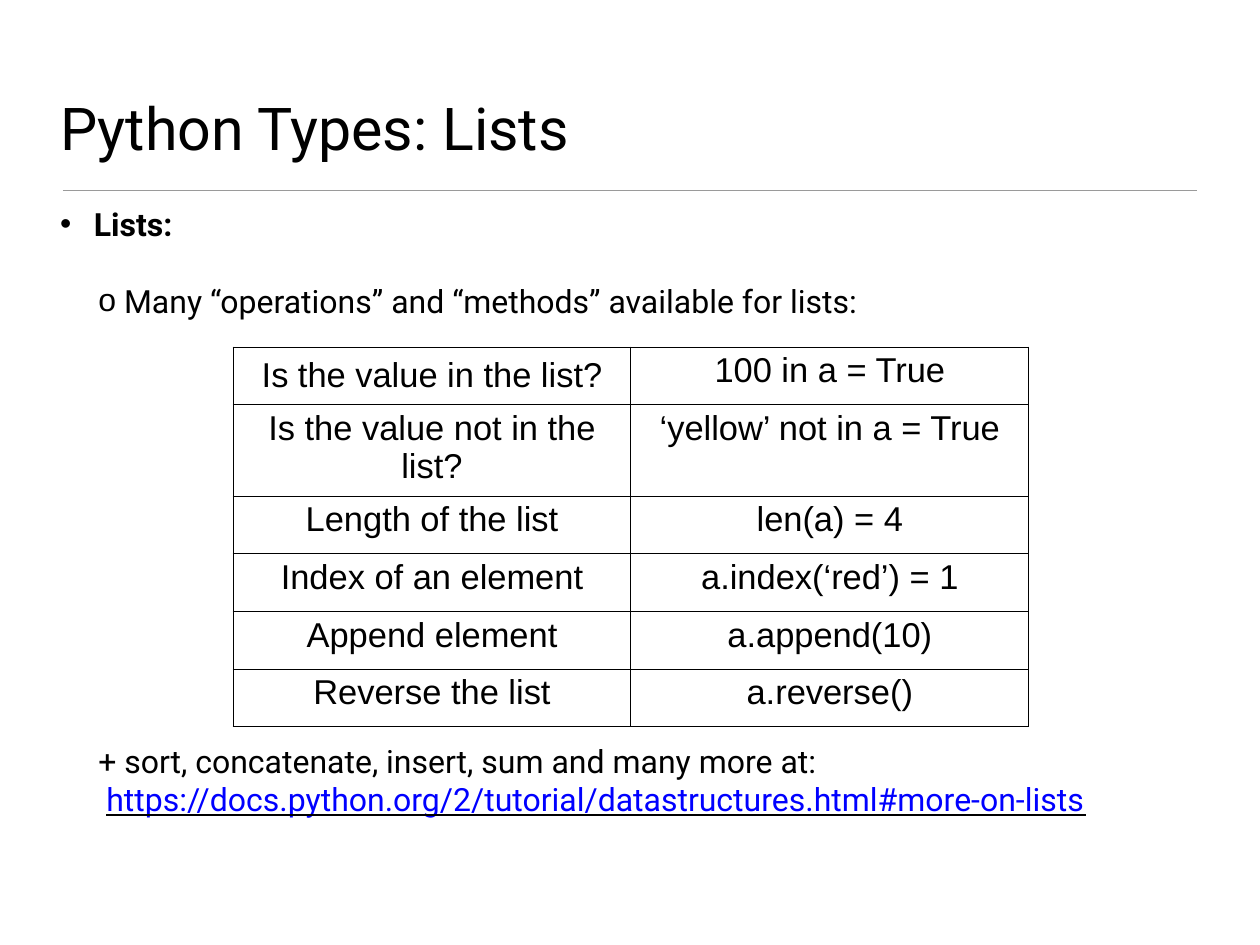
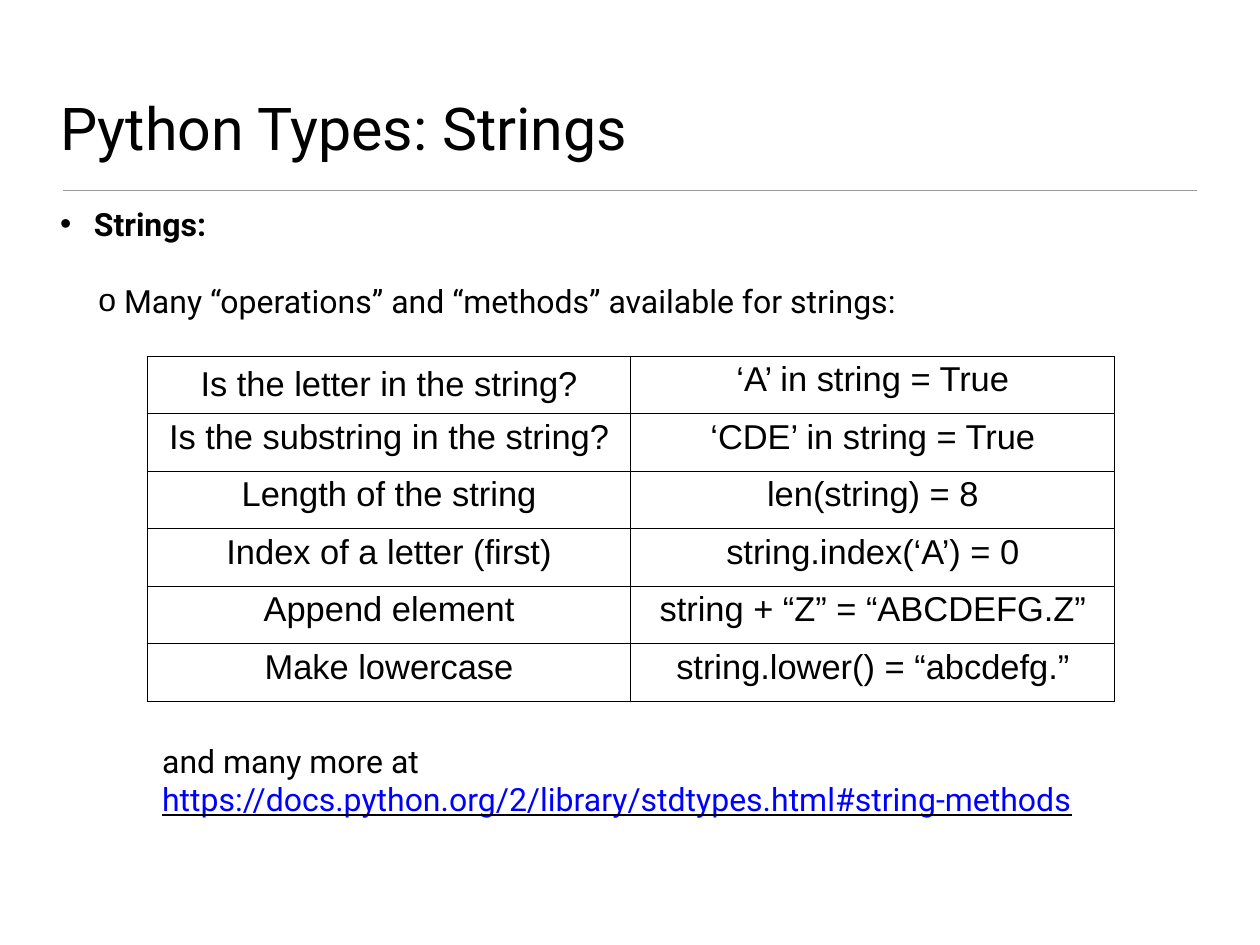
from dataclasses import dataclass

from lxml import etree
from pptx import Presentation, util as u
from pptx.dml.color import RGBColor
from pptx.enum import shapes, text
from pptx.oxml import ns

PX = 9144
BLACK = RGBColor(0x00, 0x00, 0x00)
LINK_BLUE = RGBColor(0x00, 0x00, 0xFF)
RULE_GRAY = RGBColor(0x9A, 0x9A, 0x9A)
TEXT_FONT = "Roboto"
TABLE_FONT = "Arial"
TITLE_SIZE, BODY_SIZE, TABLE_SIZE = 48, 26, 28
BLANK_LAYOUT = 6
LEFT, WIDTH, INSET = 62, 1297, 6
ROW_HEIGHT = 65


@dataclass(frozen=True)
class Topic:
    name: str
    table_left: int
    table_top: int
    column_width: int
    rows: tuple[tuple[str, str], ...]
    more: str
    more_left: int
    link: str
    link_indent: int = 0


TOPICS = (
    Topic(
        "Lists", 263, 392, 449,
        (
            ("Is the value in the list?", "100 in a = True"),
            ("Is the value not in the list?", "‘yellow’ not in a = True"),
            ("Length of the list", "len(a) = 4"),
            ("Index of an element", "a.index(‘red’) = 1"),
            ("Append element", "a.append(10)"),
            ("Reverse the list", "a.reverse()"),
        ),
        "+ sort, concatenate, insert, sum and many more at:", 105,
        "https://docs.python.org/2/tutorial/datastructures.html#more-on-lists", 9,
    ),
    Topic(
        "Strings", 166, 402, 546,
        (
            ("Is the letter in the string?", "‘A’ in string = True"),
            ("Is the substring in the string?", "‘CDE’ in string = True"),
            ("Length of the string", "len(string) = 8"),
            ("Index of a letter (first)", "string.index(‘A’) = 0"),
            ("Append element", "string + “Z” = “ABCDEFG.Z”"),
            ("Make lowercase", "string.lower() = “abcdefg.”"),
        ),
        "and many more at", 177,
        "https://docs.python.org/2/library/stdtypes.html#string-methods",
    ),
)


def px(length: int) -> u.Emu:
    return u.Emu(length * PX)


def solid_fill(parent, color: RGBColor) -> None:
    fill = etree.SubElement(parent, ns.qn("a:solidFill"))
    etree.SubElement(fill, ns.qn("a:srgbClr"), val=str(color))


def write(para, words: str, *, size: int = BODY_SIZE, font: str = TEXT_FONT,
          color: RGBColor = BLACK, bold: bool = False, underline: RGBColor | None = None,
          bullet: str = "", margin: int = 0, hanging: int = 0, before: int = 0,
          align: text.PP_ALIGN = text.PP_ALIGN.LEFT) -> None:
    para.alignment = align
    para.space_before = u.Pt(before)
    properties = para._p.get_or_add_pPr()
    properties.set("marL", str(px(margin)))
    properties.set("indent", str(px(-hanging)))
    if bullet:
        solid_fill(etree.SubElement(properties, ns.qn("a:buClr")), BLACK)
        properties[-1].append(properties[-1][0][0])
        properties[-1].remove(properties[-1][0])
        etree.SubElement(properties, ns.qn("a:buFont"), typeface=TABLE_FONT)
        etree.SubElement(properties, ns.qn("a:buChar"), char=bullet)
    span = para.add_run()
    span.text = words
    span.font.size = u.Pt(size)
    span.font.bold = bold
    span.font.color.rgb = color
    if underline is not None:
        span.font.underline = True
        line_fill = etree.SubElement(span._r.get_or_add_rPr(), ns.qn("a:uFill"))
        solid_fill(line_fill, underline)
    span.font.name = font


def add_box(page, left: int, top: int, width: int, height: int,
            anchor: text.MSO_ANCHOR = text.MSO_ANCHOR.TOP):
    frame = page.shapes.add_textbox(px(left), px(top), px(width), px(height)).text_frame
    frame.word_wrap = True
    frame.vertical_anchor = anchor
    frame.margin_left = frame.margin_right = px(INSET)
    frame.margin_top = frame.margin_bottom = px(INSET)
    return frame


def add_heading(page, title: str) -> None:
    frame = add_box(page, LEFT, 0, WIDTH, 189, text.MSO_ANCHOR.BOTTOM)
    write(frame.paragraphs[0], title, size=TITLE_SIZE)
    rule = page.shapes.add_connector(
        shapes.MSO_CONNECTOR.STRAIGHT, px(71), px(215), px(1351), px(215))
    rule.line.color.rgb = RULE_GRAY
    rule.line.width = u.Pt(1)
    etree.SubElement(rule._element.spPr, ns.qn("a:effectLst"))


def add_intro(page, name: str) -> None:
    frame = add_box(page, LEFT, 225, WIDTH, 145)
    write(frame.paragraphs[0], f"{name}:", bold=True, bullet="•", margin=38, hanging=38)
    write(frame.add_paragraph(),
          f"Many “operations” and “methods” available for {name.lower()}:",
          bullet="o", margin=72, hanging=29, before=31)


def add_borders(cell) -> None:
    properties = cell._tc.get_or_add_tcPr()
    for index, side in enumerate(("lnL", "lnR", "lnT", "lnB")):
        border = etree.Element(ns.qn(f"a:{side}"), w=str(u.Pt(1)))
        solid_fill(border, BLACK)
        properties.insert(index, border)


def add_operations(page, topic: Topic) -> None:
    count = len(topic.rows)
    table = page.shapes.add_table(
        count, 2, px(topic.table_left), px(topic.table_top),
        px(2 * topic.column_width), px(count * ROW_HEIGHT)).table
    table.first_row = table.horz_banding = False
    for row, entries in enumerate(topic.rows):
        for column, words in enumerate(entries):
            cell = table.cell(row, column)
            cell.fill.background()
            add_borders(cell)
            write(cell.text_frame.paragraphs[0], words, size=TABLE_SIZE,
                  font=TABLE_FONT, align=text.PP_ALIGN.CENTER)
    table.cell(0, 0).vertical_anchor = text.MSO_ANCHOR.MIDDLE


def add_reference(page, topic: Topic) -> None:
    frame = add_box(page, topic.more_left, 831, LEFT + WIDTH - topic.more_left, 98)
    write(frame.paragraphs[0], topic.more)
    write(frame.add_paragraph(), topic.link, color=LINK_BLUE, underline=BLACK,
          margin=topic.link_indent)


def main() -> None:
    deck = Presentation()
    deck.slide_width, deck.slide_height = px(1422), px(1067)
    for topic in TOPICS:
        page = deck.slides.add_slide(deck.slide_layouts[BLANK_LAYOUT])
        add_heading(page, f"Python Types: {topic.name}")
        add_intro(page, topic.name)
        add_operations(page, topic)
        add_reference(page, topic)
    deck.save("out.pptx")


if __name__ == "__main__":
    main()
